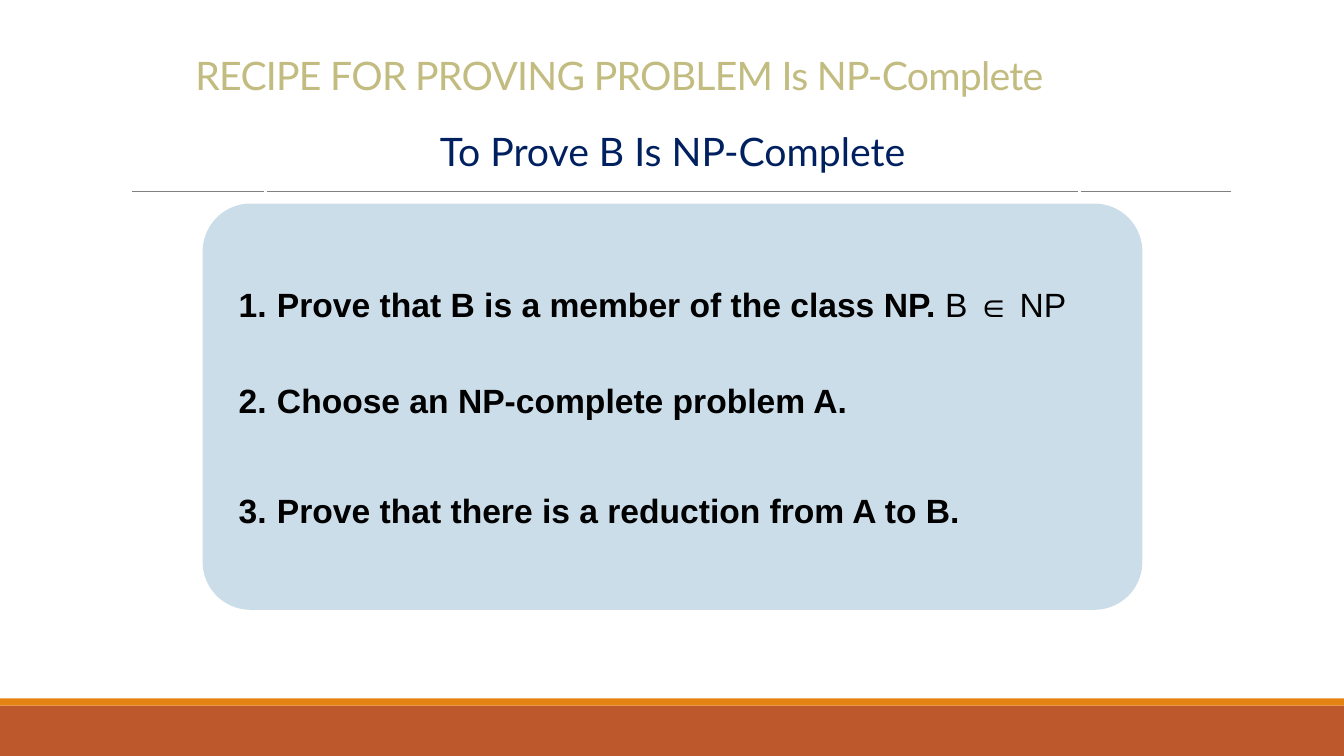
import pptx
import pptx.dml.color
import pptx.enum.shapes
import pptx.enum.text
import pptx.oxml.ns
import pptx.util
from lxml import etree
from pptx.util import Inches

COLORS = {
    "white": "FFFFFF", "black": "000000", "rust": "BD582C", "orange": "E48312",
    "rule": "808080", "title": "C2BC80", "subtitle": "002060", "panel": "CCDDEA",
}
WIDTH, HEIGHT = 13.33, 7.5
SHAPES = pptx.enum.shapes.MSO_SHAPE
ALIGN = pptx.enum.text.PP_ALIGN


class SlideBuilder:
    heading_font = "Lato"
    body_font = "Arial"
    heading_size = 28
    body_size = 24

    def __init__(self, slide):
        self.slide = slide

    def color(self, name):
        return pptx.dml.color.RGBColor.from_string(COLORS[name])

    def box(self, left, top, width, height, fill=None, line=None, kind=SHAPES.RECTANGLE):
        shape = self.slide.shapes.add_shape(
            kind, Inches(left), Inches(top), Inches(width), Inches(height))
        shape.shadow.inherit = False
        if fill:
            shape.fill.solid()
            shape.fill.fore_color.rgb = self.color(fill)
        else:
            shape.fill.background()
        if line:
            shape.line.color.rgb = self.color(line)
            shape.line.width = pptx.util.Pt(2.25)
        else:
            shape.line.fill.background()
        frame = shape.text_frame
        frame.word_wrap = True
        frame.vertical_anchor = pptx.enum.text.MSO_ANCHOR.MIDDLE
        frame.margin_left = frame.margin_right = Inches(0.1)
        frame.margin_top = frame.margin_bottom = Inches(0.1)
        return shape

    def rule(self, left, right, top):
        connector = self.slide.shapes.add_connector(
            pptx.enum.shapes.MSO_CONNECTOR.STRAIGHT,
            Inches(left), Inches(top), Inches(right), Inches(top))
        connector.line.color.rgb = self.color("rule")
        connector.line.width = pptx.util.Pt(0.5)
        properties = connector._element.spPr
        etree.SubElement(properties, pptx.oxml.ns.qn("a:effectLst"))

    def format_run(self, run, font, size, color, bold=False):
        run.font.name = font
        run.font.size = pptx.util.Pt(size)
        run.font.color.rgb = self.color(color)
        run.font.bold = bold

    def heading(self, text, place, color, align, line_spacing=1.0, tracking=0):
        """Framed heading; tracking is in hundredths of a point."""
        shape = self.box(*place, line="white")
        paragraph = shape.text_frame.paragraphs[0]
        paragraph.text = text
        paragraph.alignment = align
        paragraph.line_spacing = line_spacing
        run = paragraph.runs[0]
        self.format_run(run, self.heading_font, self.heading_size, color)
        if tracking:
            run.font._element.set("spc", str(tracking))

    def numbered_panel(self, steps, place):
        """Rounded panel of steps, each given as (bold text, plain text, space before)."""
        shape = self.box(*place, fill="panel", kind=SHAPES.ROUNDED_RECTANGLE)
        shape.adjustments[0] = 0.118
        frame = shape.text_frame
        for index, (bold_text, plain_text, space_before) in enumerate(steps):
            paragraph = frame.add_paragraph() if index else frame.paragraphs[0]
            paragraph.text = bold_text
            paragraph.alignment = ALIGN.LEFT
            paragraph.space_before = pptx.util.Pt(space_before)
            properties = paragraph._element.get_or_add_pPr()
            properties.set("marL", str(Inches(0.5)))
            properties.set("indent", str(Inches(-0.38)))
            etree.SubElement(properties, pptx.oxml.ns.qn("a:buFont"), typeface="+mj-lt")
            etree.SubElement(properties, pptx.oxml.ns.qn("a:buAutoNum"), type="arabicPeriod")
            if plain_text:
                paragraph.add_run().text = plain_text
            for position, run in enumerate(paragraph.runs):
                self.format_run(run, self.body_font, self.body_size, "black", position == 0)


def main():
    presentation = pptx.Presentation()
    presentation.slide_width = Inches(WIDTH)
    presentation.slide_height = Inches(HEIGHT)
    builder = SlideBuilder(presentation.slides.add_slide(presentation.slide_layouts[6]))

    builder.box(0, 7, WIDTH, 0.5, fill="rust")
    builder.box(0, 6.93, WIDTH, 0.07, fill="orange")
    builder.rule(1.31, 12.21, 1.9)
    builder.heading("RECIPE FOR PROVING PROBLEM Is NP-Complete", (1.84, 0.24, 9.66, 1.08),
                    "title", ALIGN.LEFT, line_spacing=0.85, tracking=-50)
    builder.numbered_panel([
        ("Prove that B is a member of the class NP. ", "B ∈ NP", 0),
        ("Choose an NP-complete problem A.", "", 40),
        ("Prove that there is a reduction from A to B.", "", 49.5),
    ], (2.01, 2.02, 9.32, 4.03))
    builder.heading("To Prove B Is NP-Complete", (2.63, 1.07, 8.08, 0.85),
                    "subtitle", ALIGN.CENTER)
    presentation.save("out.pptx")


if __name__ == "__main__":
    main()
